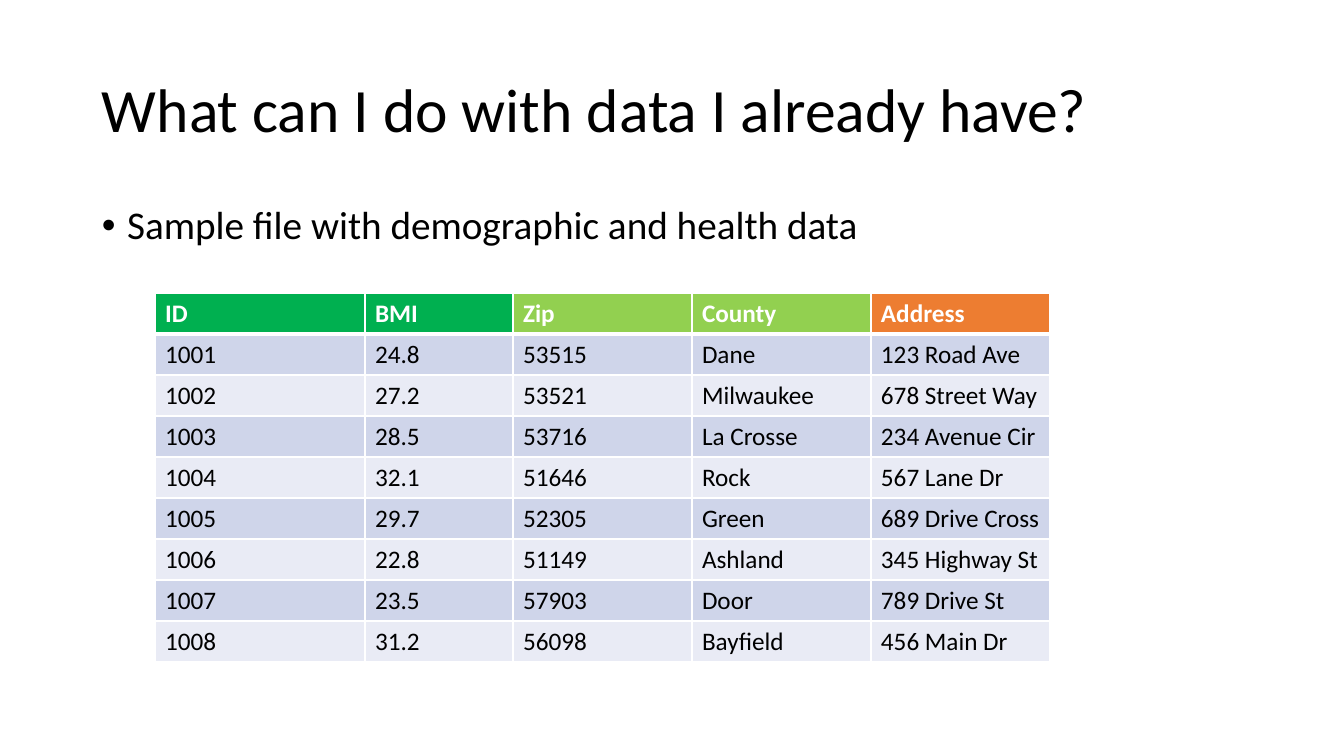
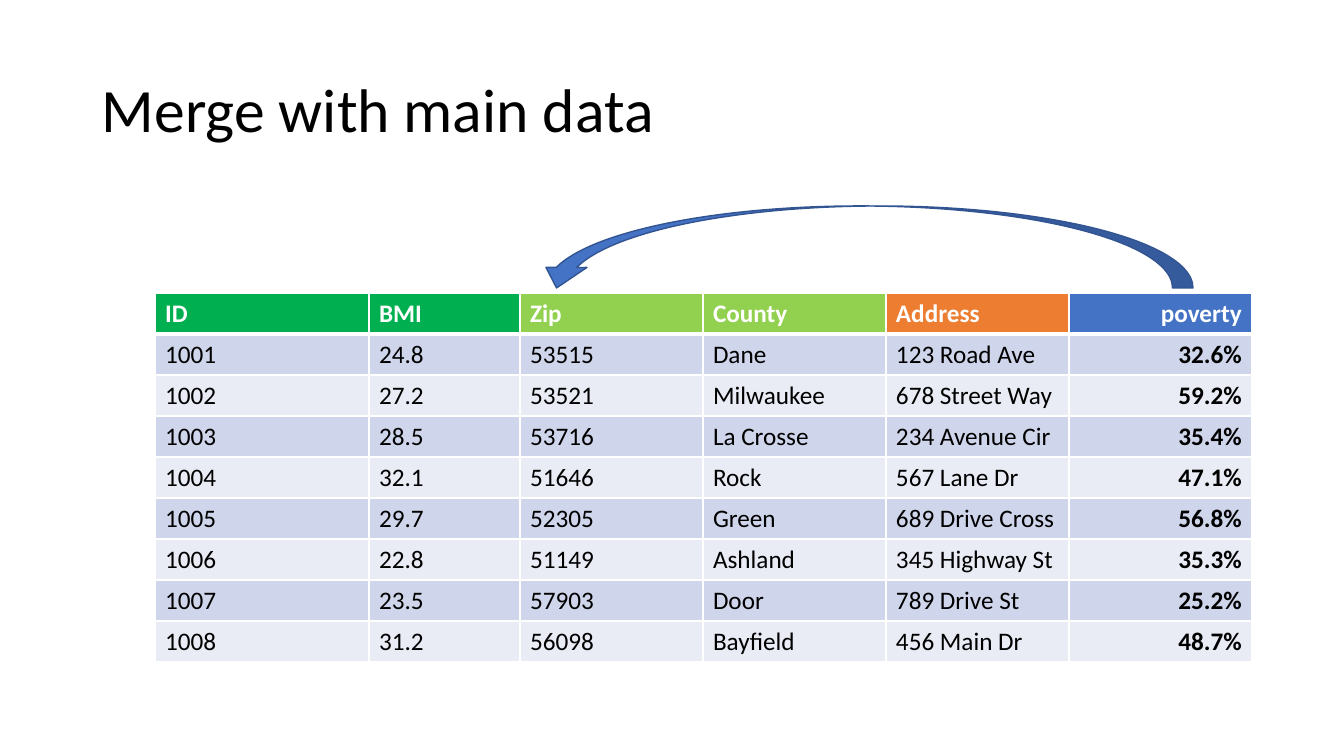
from lxml.etree import SubElement
from pptx import Presentation
from pptx.dml.color import RGBColor
from pptx.enum.shapes import MSO_SHAPE
from pptx.enum.text import MSO_ANCHOR, PP_ALIGN
from pptx.oxml.ns import qn
from pptx.util import Emu, Pt

FONT = "Calibri"
COLORS = {
    "text": "000000", "white": "FFFFFF", "green": "00B050", "lime": "92D050",
    "orange": "ED7D31", "blue": "4472C4", "outline": "325491",
    "odd_row": "CFD5EA", "even_row": "E9EBF5",
}
TITLES = ["What can I do with data I already have?", "Merge with main data"]
BULLET = "Sample file with demographic and health data"
HEADERS = [("ID", "green"), ("BMI", "green"), ("Zip", "lime"),
           ("County", "lime"), ("Address", "orange")]
PEOPLE = [
    ("1001", "24.8", "53515", "Dane", "123 Road Ave"),
    ("1002", "27.2", "53521", "Milwaukee", "678 Street Way"),
    ("1003", "28.5", "53716", "La Crosse", "234 Avenue Cir"),
    ("1004", "32.1", "51646", "Rock", "567 Lane Dr"),
    ("1005", "29.7", "52305", "Green", "689 Drive Cross"),
    ("1006", "22.8", "51149", "Ashland", "345 Highway St"),
    ("1007", "23.5", "57903", "Door", "789 Drive St"),
    ("1008", "31.2", "56098", "Bayfield", "456 Main Dr"),
]
POVERTY_HEADER = ("poverty", "blue")
POVERTY = ["32.6%", "59.2%", "35.4%", "47.1%", "56.8%", "35.3%", "25.2%", "48.7%"]

SLIDE_SIZE = (1344, 756)
TITLE_BOX = (92, 40, 1159, 146)
BODY_BOX = (92, 201, 1159, 480)
TABLE_LEFT, TABLE_TOP, ROW_HEIGHT = 155, 293, 41
SAMPLE_WIDTHS = [210, 148] + [179] * 3
MERGED_WIDTHS = [214, 151] + [183] * 4
ARROW_BOX = (536, 206, 657, 82)


def px(length):
    return Emu(round(length * 914400 / 100.8))


def color(name):
    return RGBColor.from_string(COLORS[name])


def style(paragraph, size, color_name="text", bold=False):
    font = paragraph.font
    font.name, font.size, font.bold = FONT, Pt(size), bold
    font.color.rgb = color(color_name)


def add_text(page, bounds, text, size, anchor=MSO_ANCHOR.TOP, bullet=False):
    frame = page.shapes.add_textbox(*map(px, bounds)).text_frame
    frame.word_wrap = True
    frame.vertical_anchor = anchor
    paragraph = frame.paragraphs[0]
    paragraph.text = text
    paragraph.line_spacing = 0.9
    if bullet:
        properties = paragraph._p.get_or_add_pPr()
        properties.set("marL", "228600")
        properties.set("indent", "-228600")
        SubElement(properties, qn("a:buFont"), typeface="Arial")
        SubElement(properties, qn("a:buChar"), char="•")
    style(paragraph, size)


def add_page(deck, title):
    page = deck.slides.add_slide(deck.slide_layouts[6])
    add_text(page, TITLE_BOX, title, 44, MSO_ANCHOR.MIDDLE)
    return page


def set_borders(cell, top, bottom):
    properties = cell._tc.get_or_add_tcPr()
    for side, width in (("L", 1), ("R", 1), ("T", top), ("B", bottom)):
        line = SubElement(properties, qn(f"a:ln{side}"), w=str(Pt(width)))
        fill = SubElement(line, qn("a:solidFill"))
        SubElement(fill, qn("a:srgbClr"), val=COLORS["white"])


def add_data_table(page, headers, records, widths):
    rows = [[name for name, _ in headers], *records]
    table = page.shapes.add_table(
        len(rows), len(widths), px(TABLE_LEFT), px(TABLE_TOP),
        px(sum(widths)), px(ROW_HEIGHT * len(rows))).table
    for column, width in zip(table.columns, widths):
        column.width = px(width)
    for row_index, row in enumerate(rows):
        table.rows[row_index].height = px(ROW_HEIGHT)
        is_header = row_index == 0
        band = "odd_row" if row_index % 2 else "even_row"
        for column_index, text in enumerate(row):
            header = headers[column_index]
            is_poverty = header == POVERTY_HEADER
            cell = table.cell(row_index, column_index)
            set_borders(cell, 3 if row_index == 1 else 1, 3 if is_header else 1)
            cell.fill.solid()
            cell.fill.fore_color.rgb = color(header[1] if is_header else band)
            cell.text = text
            paragraph = cell.text_frame.paragraphs[0]
            if is_poverty:
                paragraph.alignment = PP_ALIGN.RIGHT
            style(paragraph, 18, "white" if is_header else "text",
                  is_header or is_poverty)


def add_merge_arrow(page):
    left, top, width, height = ARROW_BOX
    shift = (width - height) / 2
    arrow = page.shapes.add_shape(
        MSO_SHAPE.CURVED_RIGHT_ARROW,
        px(left + shift), px(top - shift), px(height), px(width))
    arrow.rotation = 90
    arrow.shadow.inherit = False
    arrow.fill.solid()
    arrow.fill.fore_color.rgb = color("blue")
    arrow.line.color.rgb = color("outline")
    arrow.line.width = Pt(1)


def main():
    deck = Presentation()
    deck.slide_width, deck.slide_height = map(px, SLIDE_SIZE)
    sample, merged = [add_page(deck, title) for title in TITLES]

    add_text(sample, BODY_BOX, BULLET, 28, bullet=True)
    add_data_table(sample, HEADERS, PEOPLE, SAMPLE_WIDTHS)

    merged_records = [(*person, rate) for person, rate in zip(PEOPLE, POVERTY)]
    add_data_table(merged, [*HEADERS, POVERTY_HEADER], merged_records, MERGED_WIDTHS)
    add_merge_arrow(merged)
    deck.save("out.pptx")


if __name__ == "__main__":
    main()
